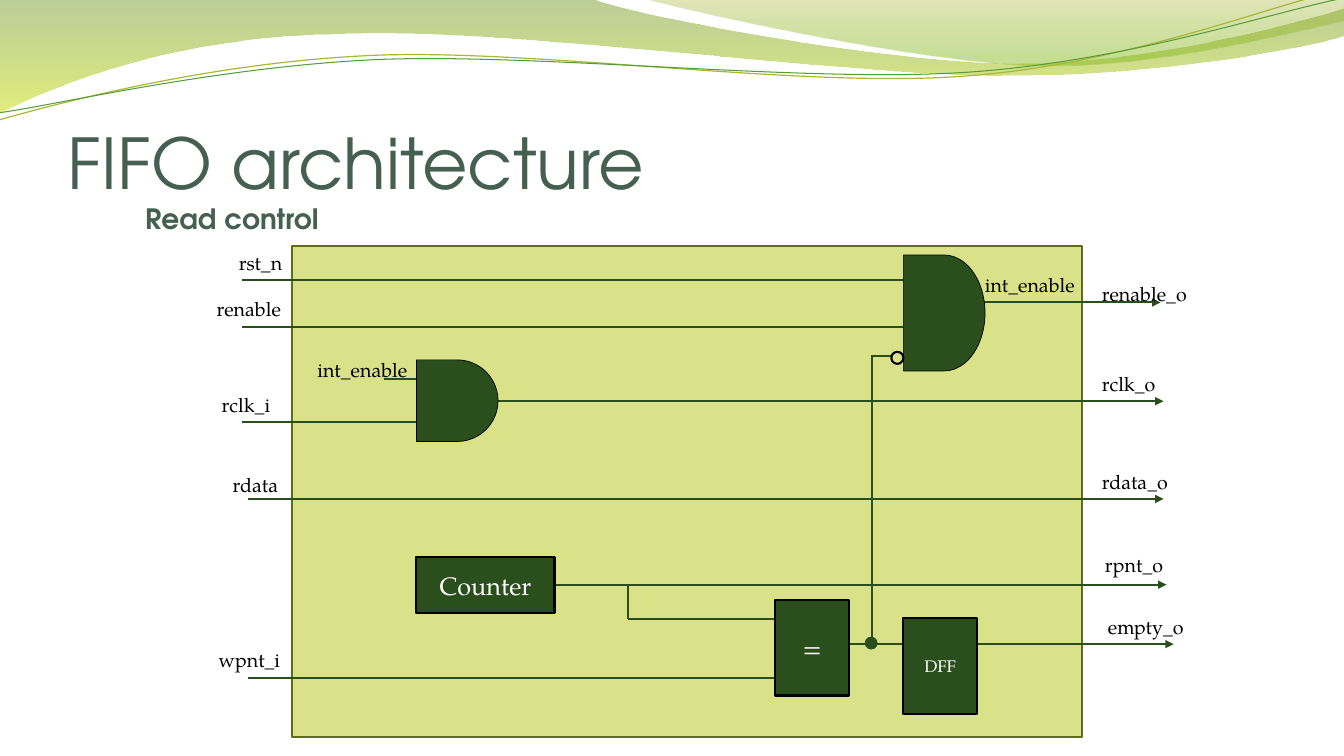
import math

from pptx import Presentation
from pptx import util as u
from pptx.dml.color import RGBColor
from pptx.enum import shapes, text
from pptx.oxml import parse_xml
from pptx.oxml.ns import nsdecls

Inches, Pt = u.Inches, u.Pt
SHAPE = shapes.MSO_SHAPE
DARK_GREEN = RGBColor(0x2A, 0x4F, 0x1C)
PALE_LIME = RGBColor(0xD9, 0xE2, 0x89)
OLIVE = RGBColor(0x62, 0x6B, 0x1A)
SLATE = RGBColor(0x45, 0x5F, 0x51)
MOSS = RGBColor(0xA9, 0xB7, 0x33)
LEAF = RGBColor(0x54, 0x9E, 0x39)
BLACK = RGBColor(0, 0, 0)
WHITE = RGBColor(0xFF, 0xFF, 0xFF)
HEADING_FONT, LABEL_FONT = "TeX Gyre Adventor", "TeX Gyre Pagella"
WAVE_TILT = 357.3

prs = Presentation()
prs.slide_width, prs.slide_height = Inches(13.33), Inches(7.5)
slide = prs.slides.add_slide(prs.slide_layouts[5])
parts = slide.shapes


def paint(shape, fill, line, width):
    shape.shadow.inherit = False
    if fill is None:
        shape.fill.background()
    else:
        shape.fill.solid()
        shape.fill.fore_color.rgb = fill
    if line is None:
        shape.line.fill.background()
    else:
        shape.line.color.rgb = line
        shape.line.width = Pt(width)


def write(shape, words, color, font_format, frame_format, align):
    frame = shape.text_frame
    for name, value in frame_format.items():
        setattr(frame, name, value)
    paragraph = frame.paragraphs[0]
    paragraph.alignment = align
    run = paragraph.add_run()
    run.text = words
    run.font.color.rgb = color
    for name, value in font_format.items():
        setattr(run.font, name, value)


# Header waves: box, tilt, start, then straight (2 numbers) or curved (6 numbers) steps
waves = [
    ((-0.02, -0.01, 13.36, 1.14), 0, (0, 0),
     [(5.87, -0.01), (6.34, 0.17, 8.84, 0.63, 10.11, 0.63),
      (11.37, 0.63, 12.77, 0.26, 13.33, 0.09), (13.34, 0.36),
      (13.11, 0.44, 11.59, 0.76, 9.94, 0.75),
      (8.29, 0.75, 5.09, 0.28, 3.43, 0.34),
      (1.72, 0.36, 0.61, 0.83, -0.02, 1.13), (0, 0)],
     [(0, "69921C", 45), (100, "CCE10F", 55)], None, 0),
    ((6.38, -0.01, 6.94, 0.7), 0, (6.38, -0.01),
     [(6.79, 0.11, 9.09, 0.62, 10.25, 0.65),
      (11.4, 0.69, 12.82, 0.32, 13.33, 0.21), (13.33, 0), (6.38, -0.01)],
     [(0, "9BAA1A", 30), (80, "81BA16", 45)], None, 0),
    ((-0.03, 0.22, 13.36, 0.71), WAVE_TILT, (-0.01, 1.19),
     [(0.63, 1.01, 2.1, 0.62, 3.69, 0.55), (5.27, 0.48, 7.89, 0.87, 9.49, 0.76),
      (11.1, 0.66, 12.51, 0.08, 13.3, -0.1)], None, MOSS, 0.85),
    ((-0.02, 0.3, 13.38, 0.58), WAVE_TILT, (-0.01, 1.12),
     [(0.62, 1.03, 2.18, 0.66, 3.77, 0.59), (5.37, 0.53, 7.96, 0.82, 9.55, 0.72),
      (11.14, 0.62, 12.55, 0.14, 13.33, -0.02)], None, LEAF, 0.75),
]
for box, tilt, start, steps, gradient, line, width in waves:
    builder = parts.build_freeform(Inches(start[0]), Inches(start[1]))
    builder.add_line_segments([(Inches(step[-2]), Inches(step[-1])) for step in steps],
                              close=gradient is not None)
    wave = builder.convert_to_shape()
    wave.left, wave.top, wave.width, wave.height = map(Inches, box)
    wave.rotation = tilt
    paint(wave, None, line, width)

    # Turn the points back by the tilt and give the outline its curves
    turn = math.radians(-tilt)
    half_w, half_h = box[2] / 2, box[3] / 2
    outline = wave._element.spPr.find(".//{*}path")
    outline.set("w", str(wave.width))
    outline.set("h", str(wave.height))
    for old_step in list(outline):
        outline.remove(old_step)
    for i, step in enumerate([start] + steps):
        tag = "moveTo" if i == 0 else "lnTo" if len(step) == 2 else "cubicBezTo"
        points = ""
        for x, y in zip(step[::2], step[1::2]):
            dx, dy = x - box[0] - half_w, y - box[1] - half_h
            px = Inches(half_w + dx * math.cos(turn) - dy * math.sin(turn))
            py = Inches(half_h + dx * math.sin(turn) + dy * math.cos(turn))
            points += f'<a:pt x="{px}" y="{py}"/>'
        outline.append(parse_xml(f'<a:{tag} {nsdecls("a")}>{points}</a:{tag}>'))
    if gradient:
        outline.append(parse_xml(f'<a:close {nsdecls("a")}/>'))
        stops = "".join(
            f'<a:gs pos="{pos * 1000}"><a:srgbClr val="{color}">'
            f'<a:alpha val="{alpha * 1000}"/></a:srgbClr></a:gs>'
            for pos, color, alpha in gradient)
        properties = wave._element.spPr
        properties.replace(properties.find("{*}noFill"), parse_xml(
            f'<a:gradFill {nsdecls("a")}><a:gsLst>{stops}</a:gsLst>'
            '<a:lin ang="5400000" scaled="0"/></a:gradFill>'))

# Title and subtitle
heading_frame = dict(word_wrap=True, auto_size=text.MSO_AUTO_SIZE.NONE,
                     vertical_anchor=text.MSO_ANCHOR.BOTTOM, margin_left=0,
                     margin_top=Inches(0.05), margin_right=0, margin_bottom=0)
title = parts.title
title.left, title.top, title.width, title.height = map(Inches, (0.67, 0.77, 12, 1.25))
subtitle = parts.add_textbox(*map(Inches, (1.44, 2.02, 11.22, 0.31)))
for heading, words, size, bold in [(title, "FIFO architecture", 50, False),
                                   (subtitle, "Read control", 20, True)]:
    write(heading, words, SLATE, dict(name=HEADING_FONT, size=Pt(size), bold=bold),
          heading_frame, text.PP_ALIGN.LEFT)

# Module outline
module = parts.add_shape(SHAPE.RECTANGLE, *map(Inches, (2.9, 2.44, 7.83, 4.87)))
paint(module, PALE_LIME, OLIVE, 1.5)

# Wires, which run on beneath the gates and blocks
for x1, y1, x2, y2, arrow in [
    (2.4, 2.78, 9.03, 2.78, False),    # rst_n
    (2.4, 3.24, 8.96, 3.24, False),    # renable
    (3.81, 3.76, 4.13, 3.76, False),   # int_enable
    (2.4, 4.19, 4.13, 4.19, False),    # rclk_i
    (9.54, 3, 11.51, 3, True),         # renable_o
    (4.63, 3.98, 11.54, 3.98, True),   # rclk_o
    (2.46, 4.95, 11.54, 4.95, True),   # rdata
    (4.66, 5.8, 11.57, 5.8, True),     # rpnt_o
    (6.23, 6.14, 6.23, 5.8, False),    # counter to comparator
    (6.23, 6.14, 7.72, 6.14, False),
    (2.46, 6.73, 7.72, 6.73, False),   # wpnt_i
    (8.13, 6.39, 11.64, 6.39, True),   # empty_o
    (8.65, 3.53, 8.65, 6.37, False),   # feedback to enable gate
    (8.64, 3.53, 8.85, 3.53, False),
]:
    wire = parts.add_connector(shapes.MSO_CONNECTOR.STRAIGHT, *map(Inches, (x1, y1, x2, y2)))
    wire.line.color.rgb = DARK_GREEN
    wire.line.width = Pt(1.5)
    if arrow:
        wire.line._get_or_add_ln().append(
            parse_xml(f'<a:tailEnd {nsdecls("a")} type="triangle"/>'))
    wire._element.spPr.append(parse_xml(f'<a:effectLst {nsdecls("a")}/>'))

# Gates, blocks, junction dot and inverter bubble
block_frame = dict(word_wrap=True, vertical_anchor=text.MSO_ANCHOR.MIDDLE)
for words, size, kind, box, fill, line, width in [
    (None, 0, SHAPE.FLOWCHART_DELAY, (8.96, 2.53, 0.81, 1.15), DARK_GREEN, BLACK, 0.5),
    (None, 0, SHAPE.FLOWCHART_DELAY, (4.13, 3.57, 0.81, 0.81), DARK_GREEN, BLACK, 0.5),
    ("Counter", 18, SHAPE.RECTANGLE, (4.13, 5.53, 1.37, 0.55), DARK_GREEN, BLACK, 1.5),
    ("=", 18, SHAPE.RECTANGLE, (7.69, 5.95, 0.73, 0.95), DARK_GREEN, BLACK, 1.5),
    (None, 0, SHAPE.OVAL, (8.58, 6.32, 0.12, 0.12), DARK_GREEN, DARK_GREEN, 0.5),
    (None, 0, SHAPE.OVAL, (8.84, 3.49, 0.12, 0.12), None, BLACK, 1.5),
    ("DFF", 12, SHAPE.RECTANGLE, (8.96, 6.13, 0.73, 0.95), DARK_GREEN, BLACK, 1.5),
]:
    block = parts.add_shape(kind, *map(Inches, box))
    paint(block, fill, line, width)
    if words:
        write(block, words, WHITE, dict(name=LABEL_FONT, size=Pt(size)),
              block_frame, text.PP_ALIGN.CENTER)

# Signal names
label_frame = dict(word_wrap=True, auto_size=text.MSO_AUTO_SIZE.SHAPE_TO_FIT_TEXT)
for words, left, top, width in [
    ("rst_n", 2.27, 2.44, 1.07), ("renable", 2.05, 2.9, 1.07),
    ("int_enable", 3.05, 3.5, 1.2), ("rclk_i", 2.1, 3.85, 1.07),
    ("rdata", 2.21, 4.64, 1.07), ("wpnt_i", 2.07, 6.38, 1.31),
    ("int_enable", 9.67, 2.66, 1.2), ("renable_o", 10.83, 2.75, 1.34),
    ("rclk_o", 10.83, 3.64, 1.07), ("rdata_o", 10.83, 4.61, 1.07),
    ("rpnt_o", 10.86, 5.44, 1.31), ("empty_o", 10.89, 6.05, 1.07),
]:
    label = parts.add_textbox(*map(Inches, (left, top, width, 0.34)))
    write(label, words, BLACK, dict(name=LABEL_FONT, size=Pt(14)),
          label_frame, text.PP_ALIGN.LEFT)

prs.save("out.pptx")
